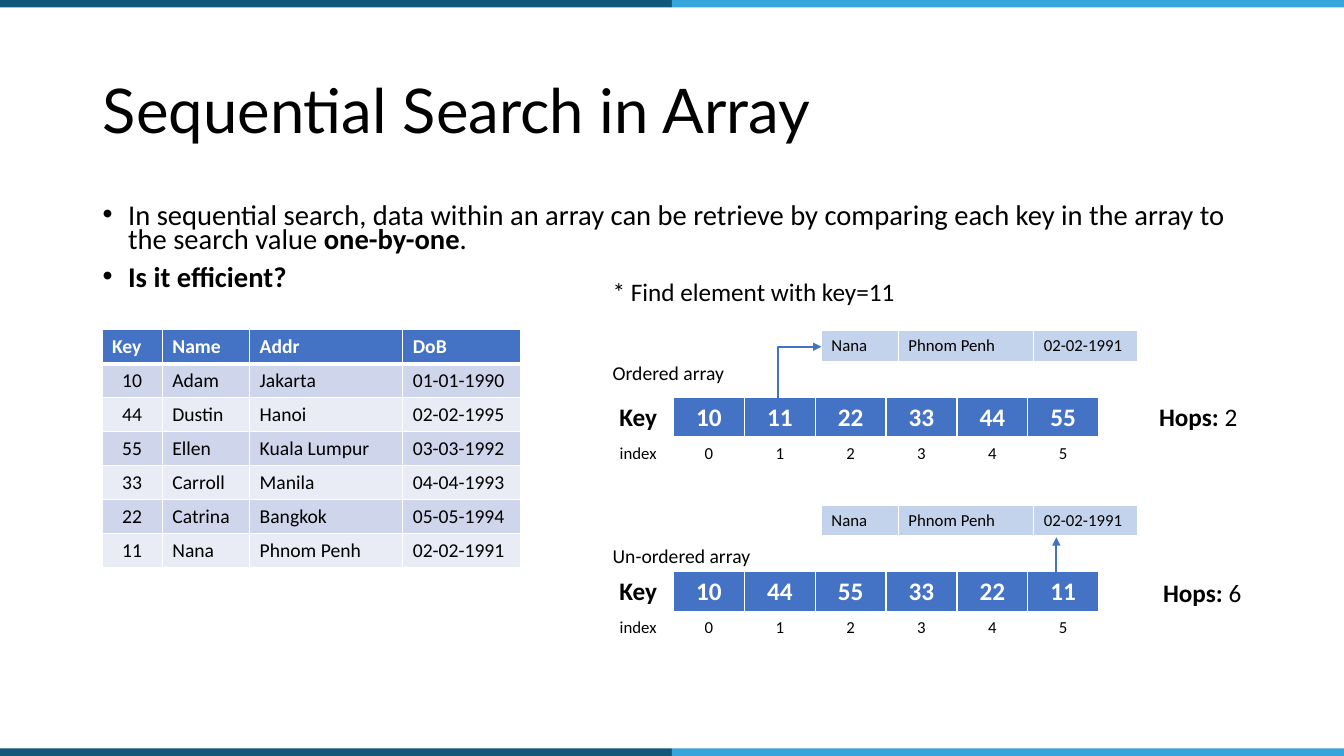
from collections import namedtuple

from lxml.etree import SubElement
from pptx import Presentation
from pptx.dml.color import RGBColor
from pptx.enum.shapes import MSO_CONNECTOR, MSO_SHAPE
from pptx.enum.text import MSO_ANCHOR, MSO_AUTO_SIZE, PP_ALIGN
from pptx.oxml.ns import qn
from pptx.util import Cm, Pt

BLACK = RGBColor(0x00, 0x00, 0x00)
WHITE = RGBColor(0xFF, 0xFF, 0xFF)
NAVY = RGBColor(0x10, 0x57, 0x7A)
SKY = RGBColor(0x38, 0xA4, 0xDC)
BLUE = RGBColor(0x44, 0x72, 0xC4)
BAND_DARK = RGBColor(0xCF, 0xD5, 0xEA)
BAND_LIGHT = RGBColor(0xE9, 0xEB, 0xF5)
RECORD_BLUE = RGBColor(0xC4, 0xD3, 0xEC)

Box = namedtuple("Box", "left top width height")
PAGE = Box(0, 0, 33.87, 19.05)

PEOPLE = [
    ("Key", "Name", "Addr", "DoB"),
    ("10", "Adam", "Jakarta", "01-01-1990"),
    ("44", "Dustin", "Hanoi", "02-02-1995"),
    ("55", "Ellen", "Kuala Lumpur", "03-03-1992"),
    ("33", "Carroll", "Manila", "04-04-1993"),
    ("22", "Catrina", "Bangkok", "05-05-1994"),
    ("11", "Nana", "Phnom Penh", "02-02-1991"),
]


def lengths(box):
    return [Cm(value) for value in box]


def format_runs(para, size, color=BLACK, bold=False, font="Calibri"):
    for span in para.runs:
        span.font.name = font
        span.font.size = Pt(size)
        span.font.bold = bold
        span.font.color.rgb = color


def add_label(page, box, text, size):
    label = page.shapes.add_textbox(*lengths(box))
    frame = label.text_frame
    frame.word_wrap = False
    frame.auto_size = MSO_AUTO_SIZE.SHAPE_TO_FIT_TEXT
    frame.text = text
    format_runs(frame.paragraphs[0], size)
    return frame.paragraphs[0]


def add_grid(page, box, widths, rows):
    frame = page.shapes.add_table(len(rows), len(widths), *lengths(box))
    table = frame.table
    table.first_row = False
    table.horz_banding = False
    for column, width in zip(table.columns, widths):
        column.width = Cm(width)
    for row, texts in zip(table.rows, rows):
        row.height = Cm(box.height / len(rows))
        for cell, text in zip(row.cells, texts):
            cell.text = text
    return table


def style_cell(cell, size, fill=None, color=BLACK, bold=False, align=PP_ALIGN.LEFT, bottom=1):
    para = cell.text_frame.paragraphs[0]
    para.alignment = align
    format_runs(para, size, color, bold)
    properties = cell._tc.get_or_add_tcPr()
    for side, width in (("L", 1), ("R", 1), ("T", 1), ("B", bottom)):
        line = SubElement(properties, qn("a:ln" + side), w=str(Pt(width)))
        solid = SubElement(line, qn("a:solidFill"))
        SubElement(solid, qn("a:srgbClr"), val=str(WHITE))
    if fill is None:
        cell.fill.background()
    else:
        cell.fill.solid()
        cell.fill.fore_color.rgb = fill


def add_arrow(page, kind, start, end):
    arrow = page.shapes.add_connector(kind, *lengths(start + end))
    arrow.line.color.rgb = BLUE
    arrow.line.width = Pt(1.5)
    SubElement(arrow.line._get_or_add_ln(), qn("a:tailEnd"), type="triangle")
    SubElement(arrow._element.spPr, qn("a:effectLst"))
    return arrow


def add_corner_arrow(page, start, end):
    middle_x, middle_y = (start[0] + end[0]) / 2, (start[1] + end[1]) / 2
    half_width, half_height = (start[1] - end[1]) / 2, (end[0] - start[0]) / 2
    arrow = add_arrow(page, MSO_CONNECTOR.ELBOW,
                      (middle_x + half_width, middle_y + half_height),
                      (middle_x - half_width, middle_y - half_height))
    properties = arrow._element.spPr
    properties.find(qn("a:xfrm")).set("rot", "5400000")
    properties.find(qn("a:prstGeom")).set("prst", "bentConnector2")


def add_stripe(page, box):
    half = box.width / 2
    for index, color in enumerate((NAVY, SKY)):
        part = Box(box.left + index * half, box.top, half, box.height)
        stripe = page.shapes.add_shape(MSO_SHAPE.RECTANGLE, *lengths(part))
        stripe.shadow.inherit = False
        stripe.fill.solid()
        stripe.fill.fore_color.rgb = color
        stripe.line.fill.background()


def place_title(page, box):
    title = page.shapes.title
    title.left, title.top, title.width, title.height = lengths(box)
    frame = title.text_frame
    frame.text = "Sequential Search in Array"
    frame.vertical_anchor = MSO_ANCHOR.MIDDLE
    para = frame.paragraphs[0]
    para.alignment = PP_ALIGN.LEFT
    para.line_spacing = 0.9
    format_runs(para, 44, font="Lato")


def add_points(page, box):
    frame = page.shapes.add_textbox(*lengths(box)).text_frame
    frame.word_wrap = True
    frame.text = ("In sequential search, data within an array can be retrieve by comparing "
                  "each key in the array to the search value ")
    intro, question = frame.paragraphs[0], frame.add_paragraph()
    for text in ("one-by-one", "."):
        intro.add_run().text = text
    question.text = "Is it efficient?"
    for para in (intro, question):
        para.line_spacing = 0.7
        para.space_before = Pt(10)
        format_runs(para, 20.4, bold=para is question)
        properties = para._p.get_or_add_pPr()
        properties.set("marL", str(Cm(0.64)))
        properties.set("indent", str(-Cm(0.64)))
        SubElement(properties, qn("a:buFont"), typeface="Arial")
        SubElement(properties, qn("a:buChar"), char="•")
    intro.runs[1].font.bold = True


def add_people(page, box):
    table = add_grid(page, box, (1.52, 2.2, 3.86, 2.96), PEOPLE)
    for cell in table.rows[0].cells:
        style_cell(cell, 14, BLUE, WHITE, True, bottom=3)
    for index in range(1, len(PEOPLE)):
        fill = BAND_DARK if index % 2 else BAND_LIGHT
        for column, cell in enumerate(table.rows[index].cells):
            style_cell(cell, 14, fill, align=PP_ALIGN.LEFT if column else PP_ALIGN.CENTER)


def add_search(page, box, name, name_drop, keys, hops, hops_offset):
    key_top = box.top + 1.68
    step = box.width / (len(keys) + 1)
    rows = [["Key", *keys], ["index", *map(str, range(len(keys)))]]
    array = add_grid(page, Box(box.left, key_top, box.width, 2.06), [step] * len(rows[0]), rows)
    for column in range(len(rows[0])):
        fill, color = (BLUE, WHITE) if column else (None, BLACK)
        style_cell(array.cell(0, column), 18, fill, color, True, PP_ALIGN.CENTER, 3)
        style_cell(array.cell(1, column), 12, align=PP_ALIGN.CENTER)

    record_left = box.left + 5.51
    record = add_grid(page, Box(record_left, box.top, 7.97, 0.81), (1.94, 3.41, 2.62),
                      [PEOPLE[-1][1:]])
    for cell in record.rows[0].cells:
        style_cell(cell, 12, RECORD_BLUE, bottom=3)

    add_label(page, Box(box.left, box.top + name_drop, 4.2, 0.86), name, 14)
    hops_x, hops_y = hops_offset
    para = add_label(page, Box(box.left + hops_x, key_top + hops_y, 2.49, 1.02), "Hops:", 18)
    para.add_run().text = f" {hops}"
    format_runs(para, 18)
    para.runs[0].font.bold = True


def add_pointers(page, ordered, unordered):
    add_corner_arrow(page, (ordered.left + 4.42, ordered.top + 2.06),
                     (ordered.left + 5.51, ordered.top + 0.41))
    pointer_x = unordered.left + 11.43
    add_arrow(page, MSO_CONNECTOR.STRAIGHT, (pointer_x, unordered.top + 1.68),
              (pointer_x, unordered.top + 0.81))


deck = Presentation()
deck.slide_width, deck.slide_height = Cm(PAGE.width), Cm(PAGE.height)
page = deck.slides.add_slide(deck.slide_layouts[5])
place_title(page, Box(2.34, 1.02, 29.21, 3.68))
add_points(page, Box(2.34, 5.08, 29.21, 2.44))
for stripe_top in (0, PAGE.height - 0.19):
    add_stripe(page, Box(0, stripe_top, PAGE.width, 0.19))
add_people(page, Box(2.57, 8.31, 10.54, 5.99))
add_label(page, Box(15.19, 6.85, 7.72, 1.02), "* Find element with key=11", 18)
ordered = Box(15.19, 8.33, 12.5, 3.74)
unordered = ordered._replace(top=12.73)
add_search(page, ordered, "Ordered array", 0.64,
           ["10", "11", "22", "33", "44", "55"], 2, (13.77, -0.03))
add_search(page, unordered, "Un-ordered array", 0.84,
           ["10", "44", "55", "33", "22", "11"], 6, (13.87, 0.02))
add_pointers(page, ordered, unordered)
deck.save("out.pptx")
